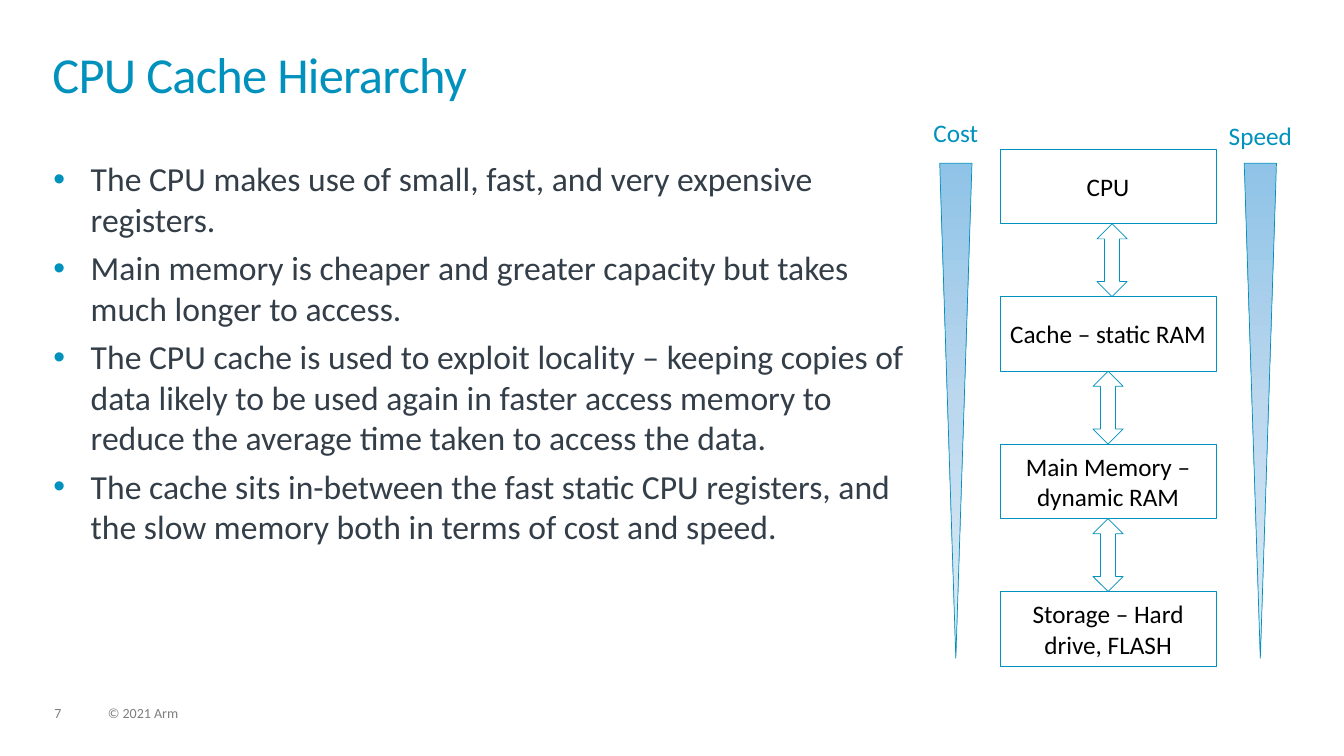
from copy import deepcopy
from dataclasses import dataclass
from typing import NamedTuple, Optional

from lxml.etree import SubElement
from pptx import Presentation
from pptx.dml.color import RGBColor
from pptx.enum.shapes import MSO_SHAPE as Preset
from pptx.enum.text import MSO_ANCHOR as Anchor, MSO_AUTO_SIZE as AutoSize, PP_ALIGN as Align
from pptx.oxml.ns import qn
from pptx.util import Emu, Inches, Pt


@dataclass(frozen=True)
class Theme:
    font: str = "Calibri"
    accent: str = "0091BD"
    body: str = "333E48"
    label: str = "000000"
    footer: str = "7F7F7F"
    wedge: tuple = ("8FC3E7", "BCD8EE", "DFECF6")
    title_size: float = 36
    body_size: float = 24
    label_size: float = 18
    footer_size: float = 10
    line_width: float = 0.5


THEME = Theme()
CELL = Inches(0.1)  # side of one square grid cell


class Area(NamedTuple):
    """A rectangle in grid columns and rows."""
    col: float
    row: float
    cols: float
    rows: float

    def emu(self) -> list:
        return [Emu(round(cells * CELL)) for cells in self]


class Level(NamedTuple):
    """A memory level; shift moves the arrow below it, None means no arrow."""
    text: str
    shift: Optional[float]


class Scale(NamedTuple):
    """A labelled wedge beside the hierarchy."""
    text: str
    label: Area
    wedge: Area


# Content
TITLE = "CPU Cache Hierarchy"
POINTS = [
    "The CPU makes use of small, fast, and very expensive registers.",
    "Main memory is cheaper and greater capacity but takes much longer to access.",
    "The CPU cache is used to exploit locality – keeping copies of data likely to be used "
    "again in faster access memory to reduce the average time taken to access the data.",
    "The cache sits in-between the fast static CPU registers, and the slow memory both in "
    "terms of cost and speed.",
]
LEVELS = [
    Level("CPU", 0.4),
    Level("Cache – static RAM", 0),
    Level("Main Memory – dynamic RAM", 0),
    Level("Storage – Hard drive, FLASH", None),
]
SCALES = [
    Scale("Cost", Area(90.4, 11.6, 8.8, 2.9), Area(93.2, 16.2, 3.2, 49.1)),
    Scale("Speed", Area(120.6, 11.9, 8.8, 2.9), Area(123.4, 16.2, 3.2, 49.1)),
]
FOOTERS = [
    ("7", Area(5.4, 70.1, 3.4, 1.5)),
    ("© 2021 Arm", Area(10.7, 70.1, 50.7, 1.5)),
]

# Hierarchy grid
FIRST_BOX = Area(99.2, 14.8, 21.4, 7.4)
BOX_PITCH = 14.63
ARROW_COLS = 3


def write(para, text: str, *, size: float, color: str, align=None, spacing=None,
          before=None, after=None, tracking=None) -> None:
    if align is not None:
        para.alignment = align
    if spacing is not None:
        para.line_spacing = spacing
    if before is not None:
        para.space_before = Pt(before)
    if after is not None:
        para.space_after = Pt(after)
    span = para.add_run()
    span.text = text
    span.font.name = THEME.font
    span.font.size = Pt(size)
    span.font.color.rgb = RGBColor.from_string(color)
    if tracking is not None:
        span.font._element.set("spc", str(round(tracking * 100)))


def add_bullet(para, color: str) -> None:
    props = para._p.get_or_add_pPr()
    props.set("marL", str(Inches(0.37)))
    props.set("indent", str(-Inches(0.37)))
    SubElement(SubElement(props, qn("a:buClr")), qn("a:srgbClr")).set("val", color)
    SubElement(props, qn("a:buFont")).set("typeface", "Arial")
    SubElement(props, qn("a:buChar")).set("char", "•")


def set_frame(frame, *, inset=0.0, anchor=Anchor.TOP, wrap=True) -> None:
    frame.auto_size = AutoSize.NONE
    frame.word_wrap = wrap
    frame.vertical_anchor = anchor
    frame.margin_left = frame.margin_right = Inches(inset)
    frame.margin_top = frame.margin_bottom = Inches(inset / 2)


def place(holder, area: Area):
    holder.left, holder.top, holder.width, holder.height = area.emu()
    set_frame(holder.text_frame)
    return holder.text_frame


def add_text(page, area: Area, text: str, *, wrap=True, **style) -> None:
    frame = page.shapes.add_textbox(*area.emu()).text_frame
    set_frame(frame, wrap=wrap)
    write(frame.paragraphs[0], text, **style)


def add_outline(page, preset, area: Area):
    shape = page.shapes.add_shape(preset, *area.emu())
    shape.shadow.inherit = False
    shape.fill.background()
    shape.line.color.rgb = RGBColor.from_string(THEME.accent)
    shape.line.width = Pt(THEME.line_width)
    return shape


def add_wedge(page, area: Area) -> None:
    wedge = add_outline(page, Preset.FLOWCHART_MERGE, area)
    wedge.fill.gradient()
    wedge.fill.gradient_angle = 270
    stops = wedge._element.spPr.find(".//" + qn("a:gsLst"))
    stops.insert(1, deepcopy(stops[0]))
    for index, (stop, color) in enumerate(zip(wedge.fill.gradient_stops, THEME.wedge)):
        stop.position = index / 2
        stop.color.rgb = RGBColor.from_string(color)


def add_level(page, level: Level, index: int) -> None:
    area = FIRST_BOX._replace(row=FIRST_BOX.row + index * BOX_PITCH)
    frame = add_outline(page, Preset.RECTANGLE, area).text_frame
    set_frame(frame, inset=0.08, anchor=Anchor.MIDDLE)
    write(frame.paragraphs[0], level.text, size=THEME.label_size, color=THEME.label,
          align=Align.CENTER)
    if level.shift is not None:
        left = area.col + (area.cols - ARROW_COLS) / 2 + level.shift
        add_outline(page, Preset.UP_DOWN_ARROW,
                    Area(left, area.row + area.rows, ARROW_COLS, BOX_PITCH - area.rows))


def main() -> None:
    deck = Presentation()
    deck.slide_width, deck.slide_height = Inches(13.33), Inches(7.5)
    page = deck.slides.add_slide(deck.slide_layouts[1])

    # Footer line
    for text, area in FOOTERS:
        add_text(page, area, text, size=THEME.footer_size, color=THEME.footer,
                 spacing=0.9, after=6)

    # Title and bullet list
    title = place(page.shapes.title, Area(5.2, 5.2, 122.8, 7.2))
    write(title.paragraphs[0], TITLE, size=THEME.title_size, color=THEME.accent,
          align=Align.LEFT, spacing=0.85, tracking=-0.5)
    body = place(page.placeholders[1], Area(5.3, 15.7, 86.6, 51.2))
    for index, point in enumerate(POINTS):
        para = body.add_paragraph() if index else body.paragraphs[0]
        add_bullet(para, THEME.accent)
        write(para, point, size=THEME.body_size, color=THEME.body, before=6 if index else 0)

    # Memory hierarchy
    for index, level in enumerate(LEVELS):
        add_level(page, level, index)

    # Cost and speed scales
    for scale in SCALES:
        add_text(page, scale.label, scale.text, wrap=False, size=THEME.label_size,
                 color=THEME.accent, align=Align.CENTER)
        add_wedge(page, scale.wedge)

    deck.save("out.pptx")


if __name__ == "__main__":
    main()
